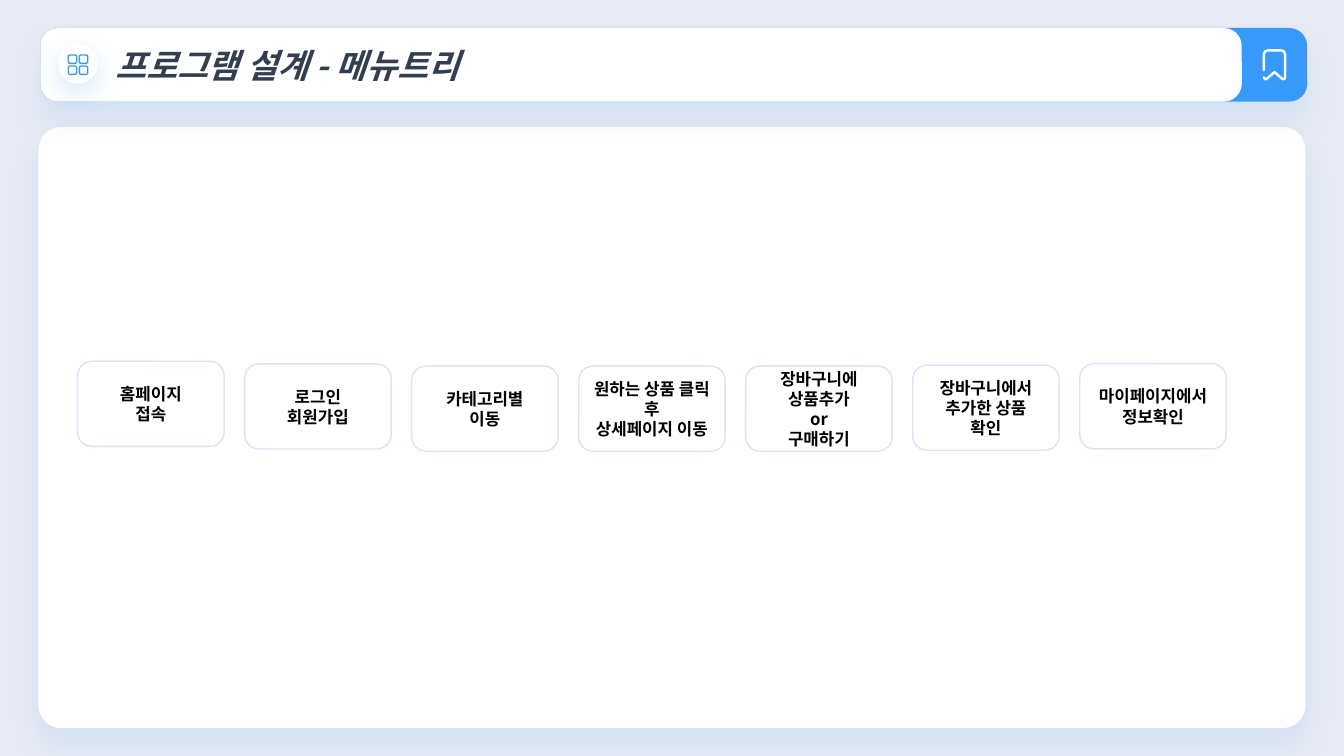
from lxml.etree import SubElement
from pptx import Presentation
from pptx.dml.color import RGBColor
from pptx.enum.shapes import MSO_SHAPE
from pptx.enum.text import MSO_ANCHOR, PP_ALIGN
from pptx.oxml.ns import qn
from pptx.util import Pt

FONT = "Noto Sans CJK KR"
BACKGROUND = RGBColor(0xE7, 0xEA, 0xF3)
WHITE = RGBColor(0xFF, 0xFF, 0xFF)
BLUE = RGBColor(0x37, 0x99, 0xFA)
BORDER = RGBColor(0xDC, 0xE4, 0xF3)
TITLE_COLOR = RGBColor(0x33, 0x3F, 0x50)
BLACK = RGBColor(0, 0, 0)

# Menu steps: top offset in points and text (\v breaks a line, \n a paragraph)
MENU_STEPS = [
    (0, "홈페이지\v접속"),
    (1.9, "로그인\v회원가입"),
    (3.5, "카테고리별\n이동"),
    (3.5, "원하는 상품 클릭 후\v상세페이지 이동"),
    (3.5, "장바구니에\v상품추가\vor\v구매하기"),
    (2.8, "장바구니에서\n추가한 상품\v확인"),
    (1.8, "마이페이지에서\n정보확인"),
]


def add_box(shapes, kind, left, top, width, height, fill, line=None, corner=None):
    shape = shapes.add_shape(kind, Pt(left), Pt(top), Pt(width), Pt(height))
    shape.shadow.inherit = False
    shape.fill.solid()
    shape.fill.fore_color.rgb = fill
    if line is None:
        shape.line.fill.background()
    else:
        shape.line.color.rgb = line
        shape.line.width = Pt(1)
    if corner is not None:
        shape.adjustments[0] = corner
    return shape


def add_shadow(shape, opacity, distance):
    effects = shape.element.spPr.find(qn("a:effectLst"))
    shadow = SubElement(effects, qn("a:outerShdw"), blurRad=str(Pt(19)),
                        dist=str(Pt(distance)), dir="5400000", algn="t", rotWithShape="0")
    color = SubElement(shadow, qn("a:srgbClr"), val=str(BLUE))
    SubElement(color, qn("a:alpha"), val=str(opacity * 1000))


def format_text(text_frame, size, color, alignment, italic=False):
    text_frame.word_wrap = True
    text_frame.vertical_anchor = MSO_ANCHOR.MIDDLE
    for paragraph in text_frame.paragraphs:
        paragraph.alignment = alignment
        font = paragraph.font
        font.size = Pt(size)
        font.bold = True
        font.italic = italic
        font.color.rgb = color
        font.name = FONT
        # Korean glyphs take the East Asian typeface
        properties = paragraph._p.pPr.find(qn("a:defRPr"))
        SubElement(properties, qn("a:ea"), typeface=FONT)


def add_bookmark(slide, left, top, width, height):
    points = [(0, 0.68), (0, 0.13), (0.05, 0.04), (0.17, 0), (0.83, 0), (0.95, 0.04),
              (1, 0.13), (1, 0.92), (0.96, 0.98), (0.88, 0.98), (0.5, 0.74),
              (0.12, 0.98), (0.04, 0.98), (0, 0.92)]
    corners = [(Pt(left + x * width), Pt(top + y * height)) for x, y in points]
    builder = slide.shapes.build_freeform(*corners[0])
    builder.add_line_segments(corners[1:], close=False)
    bookmark = builder.convert_to_shape()
    bookmark.shadow.inherit = False
    bookmark.fill.background()
    bookmark.line.color.rgb = WHITE
    bookmark.line.width = Pt(1.7)
    bookmark.element.spPr.find(qn("a:ln")).set("cap", "rnd")


def add_grid_icon(slide, left, top, size):
    circle = add_box(slide.shapes, MSO_SHAPE.OVAL, left, top, size, size, WHITE)
    add_shadow(circle, 20, 6)
    group = slide.shapes.add_group_shape()
    tile, pitch = 6, 7.9
    inset = (size - tile - pitch) / 2
    for row in range(2):
        for column in range(2):
            add_box(group.shapes, MSO_SHAPE.ROUNDED_RECTANGLE, left + inset + column * pitch,
                    top + inset + 0.5 + row * pitch, tile, tile, WHITE, BLUE, 0.218)


def add_header(slide, left, top, width, height):
    # Blue bar with the white title panel over it
    bar = add_box(slide.shapes, MSO_SHAPE.ROUNDED_RECTANGLE,
                  left, top, width, height, BLUE, corner=0.243)
    add_shadow(bar, 10, 14)
    panel_width = width - 46.8
    add_box(slide.shapes, MSO_SHAPE.ROUNDED_RECTANGLE,
            left, top, panel_width, height, WHITE, corner=0.243)
    add_bookmark(slide, left + width - 31, top + 16, 15.1, 20.9)
    add_grid_icon(slide, left + 12.9, top + 11.7, 28.1)

    # Title, raised above the panel
    title = slide.shapes.title
    title.left, title.top = Pt(left + 46.3), Pt(top)
    title.width, title.height = Pt(panel_width - 46.3), Pt(height)
    title.text_frame.text = "프로그램 설계 - 메뉴트리"
    format_text(title.text_frame, 24, TITLE_COLOR, PP_ALIGN.LEFT, italic=True)
    title.element.getparent().append(title.element)


def add_content_panel(slide, left, top, width, height):
    panel = add_box(slide.shapes, MSO_SHAPE.ROUNDED_RECTANGLE,
                    left, top, width, height, WHITE, corner=0.038)
    add_shadow(panel, 10, 14)


def add_menu_steps(slide, left, top, width, height):
    step_width = 104.6
    pitch = (width - step_width) / (len(MENU_STEPS) - 1)
    for index, (offset, text) in enumerate(MENU_STEPS):
        step = add_box(slide.shapes, MSO_SHAPE.ROUNDED_RECTANGLE, left + index * pitch,
                       top + offset, step_width, height, WHITE, BORDER)
        step.text_frame.text = text
        format_text(step.text_frame, 12, BLACK, PP_ALIGN.CENTER)


def main():
    presentation = Presentation()
    presentation.slide_width, presentation.slide_height = Pt(960), Pt(540)
    slide = presentation.slides.add_slide(presentation.slide_layouts[5])
    slide.background.fill.solid()
    slide.background.fill.fore_color.rgb = BACKGROUND
    add_content_panel(slide, 27.5, 90.7, 905, 429.3)
    add_header(slide, 28.8, 20, 905, 52.6)
    add_menu_steps(slide, 55.5, 258, 820.4, 60.8)
    presentation.save("out.pptx")


if __name__ == "__main__":
    main()
